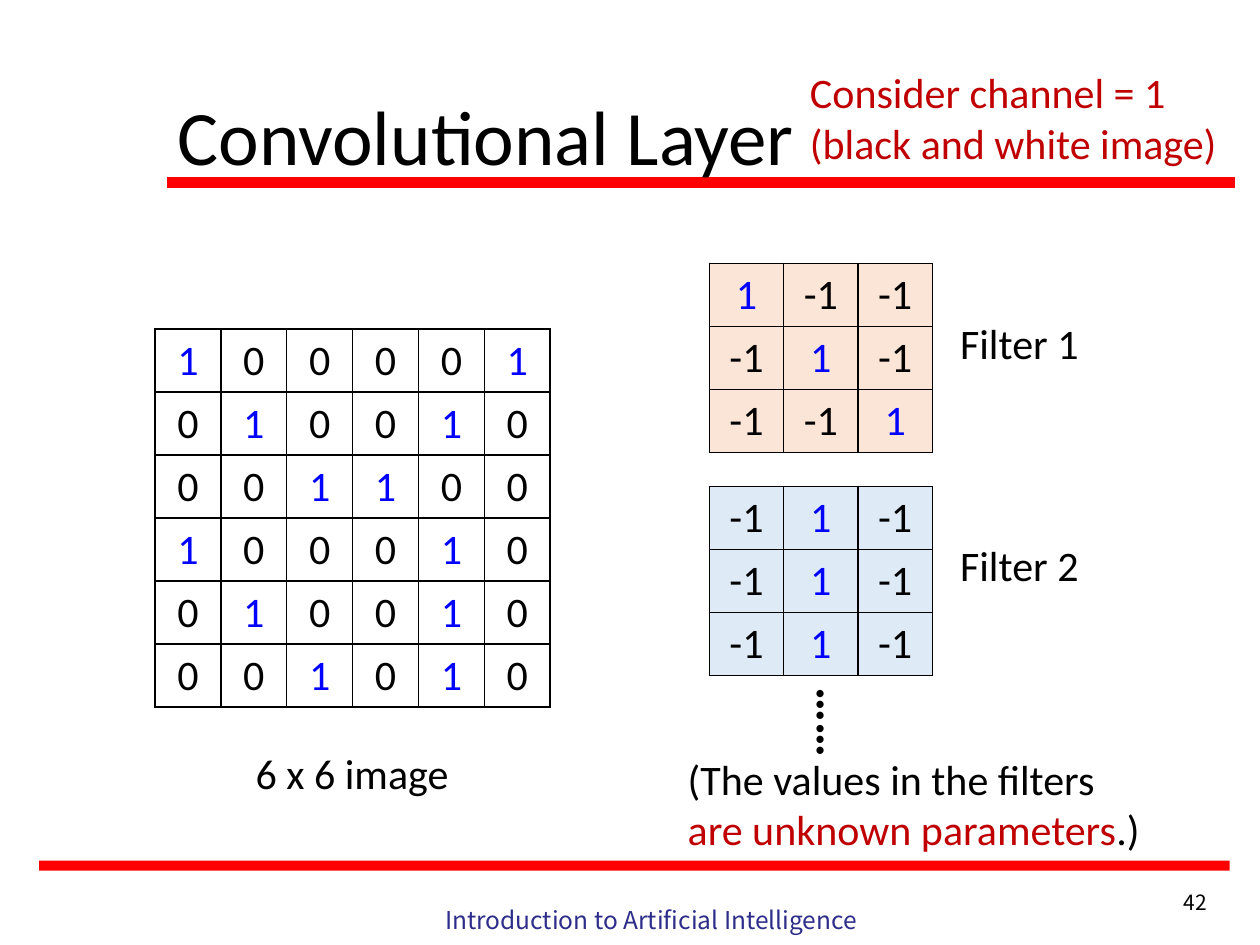
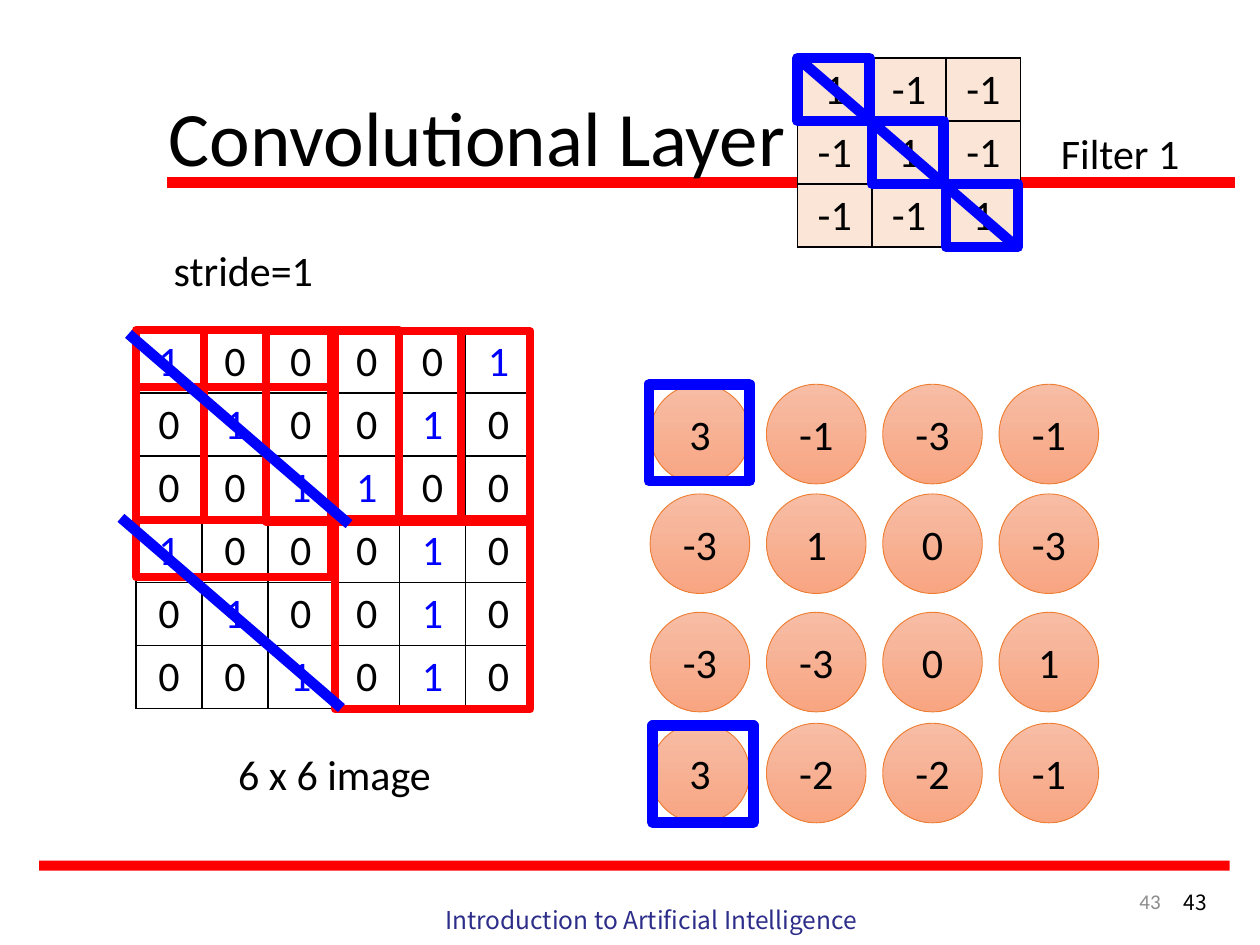
"""Build two slides on the convolutional layer: its filters and a stride of one."""
import pptx
import pptx.dml.color
import pptx.enum.shapes
import pptx.enum.text
import pptx.oxml
import pptx.oxml.ns
import pptx.util
from pptx.util import Inches

RGBColor = pptx.dml.color.RGBColor
SHAPES = pptx.enum.shapes.MSO_SHAPE
ALIGN = pptx.enum.text.PP_ALIGN
ANCHOR = pptx.enum.text.MSO_ANCHOR

BLACK = RGBColor(0x00, 0x00, 0x00)
RED = RGBColor(0xFF, 0x00, 0x00)
BLUE = RGBColor(0x00, 0x00, 0xFF)
DARK_RED = RGBColor(0xC0, 0x00, 0x00)
NAVY = RGBColor(0x2D, 0x2D, 0x8A)
GRAY = RGBColor(0x8C, 0x8C, 0x8C)
PEACH = RGBColor(0xFB, 0xE5, 0xD6)
PALE_BLUE = RGBColor(0xDE, 0xEB, 0xF7)
ORANGE = RGBColor(0xED, 0x7D, 0x31)
CIRCLE_TOP = RGBColor(0xF7, 0xBD, 0xA5)
CIRCLE_BOTTOM = RGBColor(0xF8, 0xA5, 0x82)

BODY_FONT = "Calibri"
FOOTER_FONT = "Noto Sans CJK SC"

TITLE = "Convolutional Layer"
FOOTER = "Introduction to Artificial Intelligence"
IMAGE_CAPTION = "6 x 6 image"
IMAGE = [
    (1, 0, 0, 0, 0, 1),
    (0, 1, 0, 0, 1, 0),
    (0, 0, 1, 1, 0, 0),
    (1, 0, 0, 0, 1, 0),
    (0, 1, 0, 0, 1, 0),
    (0, 0, 1, 0, 1, 0),
]
FILTER_1 = [(1, -1, -1), (-1, 1, -1), (-1, -1, 1)]
FILTER_2 = [(-1, 1, -1)] * 3
FEATURE_MAP = [(3, -1, -3, -1), (-3, 1, 0, -3), (-3, -3, 0, 1), (3, -2, -2, -1)]

IMAGE_COLUMN, FILTER_COLUMN, ROW = 0.523, 0.59, 0.5
CIRCLE, CIRCLE_LEFT, CIRCLE_STEP = 0.79, 5.16, 0.923
CIRCLE_TOPS = (3.05, 3.92, 4.86, 5.74)
WINDOW_SIZE = (1.55, 1.51)
WINDOWS = [(1.08, 2.62), (1.62, 2.62), (2.11, 2.63), (2.66, 2.63), (1.08, 3.07), (2.66, 4.12)]
FILTER_ORIGIN = (6.33, 0.46)
DIAGONAL = (1.75, 1.51)
DIAGONAL_STARTS = [FILTER_ORIGIN, (1.02, 2.65), (0.96, 4.11)]
MATCHES = [(5.15, 3.05), (5.18, 5.76)]


def write(frame, lines, size=24, align=ALIGN.LEFT, font=BODY_FONT, bold=False):
    """Fill a text frame with lines, each a list of (text, colour) runs."""
    for index, runs in enumerate(lines):
        paragraph = frame.paragraphs[0] if index == 0 else frame.add_paragraph()
        paragraph.alignment = align
        for text, color in runs:
            run = paragraph.add_run()
            run.text = text
            run.font.size = pptx.util.Pt(size)
            run.font.name = font
            run.font.bold = bold
            run.font.color.rgb = color


def add_text(slide, box, lines, wrap=True, anchor=ANCHOR.TOP, **style):
    """Add a text box."""
    shape = slide.shapes.add_textbox(*map(Inches, box))
    shape.text_frame.word_wrap = wrap
    shape.text_frame.vertical_anchor = anchor
    write(shape.text_frame, lines, **style)
    return shape


def add_label(slide, box, text):
    """Add a centred black label."""
    add_text(slide, box, [[(text, BLACK)]], align=ALIGN.CENTER)


def add_shape(slide, kind, box, line=None, width=0.75):
    """Add an unfilled shape without shadow."""
    shape = slide.shapes.add_shape(kind, *map(Inches, box))
    shape.shadow.inherit = False
    shape.fill.background()
    if line is None:
        shape.line.fill.background()
    else:
        shape.line.color.rgb = line
        shape.line.width = pptx.util.Pt(width)
    return shape


def add_frame(slide, origin, size, color, width):
    """Outline a rectangle."""
    add_shape(slide, SHAPES.RECTANGLE, (*origin, *size), color, width)


def add_border(cell):
    """Draw a thin black line on each side of a cell."""
    properties = cell._tc.get_or_add_tcPr()
    for side in ("lnL", "lnR", "lnT", "lnB"):
        properties.append(pptx.oxml.parse_xml(
            f'<a:{side} {pptx.oxml.ns.nsdecls("a")} w="12700"><a:solidFill>'
            f'<a:srgbClr val="{BLACK}"/></a:solidFill></a:{side}>'))


def add_matrix(slide, origin, values, column_width, fill=None, one_color=BLUE):
    """Add a matrix as a bordered table, with its ones in their own colour."""
    rows, columns = len(values), len(values[0])
    box = (*origin, columns * column_width, rows * ROW)
    table = slide.shapes.add_table(rows, columns, *map(Inches, box)).table
    table.first_row = table.horz_banding = False
    for column in table.columns:
        column.width = Inches(column_width)
    for row_index, row in enumerate(values):
        table.rows[row_index].height = Inches(ROW)
        for column_index, value in enumerate(row):
            cell = table.cell(row_index, column_index)
            add_border(cell)
            if fill is None:
                cell.fill.background()
            else:
                cell.fill.solid()
                cell.fill.fore_color.rgb = fill
            color = one_color if value == 1 else BLACK
            write(cell.text_frame, [[(str(value), color)]], align=ALIGN.CENTER)


def add_circle(slide, left, top, value):
    """Add one value of the feature map."""
    circle = add_shape(slide, SHAPES.OVAL, (left, top, CIRCLE, CIRCLE), ORANGE, 0.5)
    circle.fill.gradient()
    circle.fill.gradient_angle = 270
    for stop, color in zip(circle.fill.gradient_stops, (CIRCLE_TOP, CIRCLE_BOTTOM)):
        stop.color.rgb = color
    frame = circle.text_frame
    frame.margin_left = frame.margin_right = 0
    frame.vertical_anchor = ANCHOR.MIDDLE
    write(frame, [[(str(value), BLACK)]], align=ALIGN.CENTER)


def add_diagonal(slide, start):
    """Add a thick blue diagonal across a three by three area."""
    ends = (*start, start[0] + DIAGONAL[0], start[1] + DIAGONAL[1])
    line = slide.shapes.add_connector(
        pptx.enum.shapes.MSO_CONNECTOR.STRAIGHT, *map(Inches, ends))
    line.line.color.rgb = BLUE
    line.line.width = pptx.util.Pt(6)
    line._element.spPr.append(
        pptx.oxml.parse_xml(f'<a:effectLst {pptx.oxml.ns.nsdecls("a")}/>'))


def add_base(presentation, number, title_origin):
    """Add a slide with the red bands, footer, number and title."""
    slide = presentation.slides.add_slide(presentation.slide_layouts[6])
    for box, line in (((0.31, 6.83, 9.45, 0.08), None), ((1.33, 1.41, 8.47, 0.08), RED)):
        band = add_shape(slide, SHAPES.RECTANGLE, box, line)
        band.fill.solid()
        band.fill.fore_color.rgb = RED
    add_text(slide, (3.04, 7.13, 4.26, 0.52), [[(FOOTER, NAVY)]],
             size=14, align=ALIGN.CENTER, font=FOOTER_FONT)
    add_text(slide, (8.58, 7.01, 1.1, 0.24), [[(number, BLACK)]],
             size=12, align=ALIGN.RIGHT, font=FOOTER_FONT)
    title = add_text(slide, (*title_origin, 8.62, 1.45), [[(TITLE, BLACK)]],
                     anchor=ANCHOR.MIDDLE, size=44)
    title.text_frame.paragraphs[0].line_spacing = 0.9
    return slide


def build_filters_slide(presentation):
    """Show the image next to its filters."""
    slide = add_base(presentation, "42", (1.31, 0.39))
    add_matrix(slide, (1.23, 2.61), IMAGE, IMAGE_COLUMN)
    add_label(slide, (1.51, 5.88, 2.57, 0.5), IMAGE_CAPTION)
    for name, values, fill, top, label_top in (
            ("Filter 1", FILTER_1, PEACH, 2.09, 2.47),
            ("Filter 2", FILTER_2, PALE_BLUE, 3.86, 4.23)):
        add_matrix(slide, (5.63, top), values, FILTER_COLUMN, fill)
        add_label(slide, (7.3, label_top, 1.58, 0.5), name)
    dots = add_text(slide, (6.25, 5.46, 0.77, 0.57), [[("……", BLACK)]], size=28, bold=True)
    dots.rotation = 90
    add_text(slide, (5.36, 5.93, 3.87, 0.91), [[
        ("(The values in the filters ", BLACK),
        ("are unknown parameters", DARK_RED),
        (".)", BLACK)]])
    add_text(slide, (6.33, 0.48, 3.52, 0.91), [
        [("Consider channel = 1", DARK_RED)],
        [("(black and white image)", DARK_RED)]])


def build_stride_slide(presentation):
    """Show the first filter sliding over the image and the values it gives."""
    slide = add_base(presentation, "43", (1.24, 0.4))
    add_matrix(slide, (1.08, 2.62), IMAGE, IMAGE_COLUMN)
    add_label(slide, (1.37, 5.89, 2.57, 0.5), IMAGE_CAPTION)
    add_matrix(slide, FILTER_ORIGIN, FILTER_1, FILTER_COLUMN, PEACH, one_color=BLACK)
    add_label(slide, (8.1, 0.96, 1.58, 0.5), "Filter 1")
    add_text(slide, (1.28, 1.89, 1.32, 0.5), [[("stride=1", BLACK)]], wrap=False)
    for top, values in zip(CIRCLE_TOPS, FEATURE_MAP):
        for index, value in enumerate(values):
            add_circle(slide, CIRCLE_LEFT + index * CIRCLE_STEP, top, value)
    for origin in WINDOWS:
        add_frame(slide, origin, WINDOW_SIZE, RED, 4.5)
    left, top = FILTER_ORIGIN
    for index in range(len(FILTER_1)):
        origin = (left + index * FILTER_COLUMN, top + index * ROW)
        add_frame(slide, origin, (0.57, 0.5), BLUE, 6)
    for origin in MATCHES:
        add_frame(slide, origin, (0.8, 0.77), BLUE, 6)
    for start in DIAGONAL_STARTS:
        add_diagonal(slide, start)
    add_text(slide, (7.06, 6.95, 2.25, 0.4), [[("43", GRAY)]],
             anchor=ANCHOR.MIDDLE, size=12, align=ALIGN.RIGHT)


def main():
    """Build and save the presentation."""
    presentation = pptx.Presentation()
    presentation.slide_width = Inches(10)
    presentation.slide_height = Inches(7.5)
    build_filters_slide(presentation)
    build_stride_slide(presentation)
    presentation.save("out.pptx")


if __name__ == "__main__":
    main()
